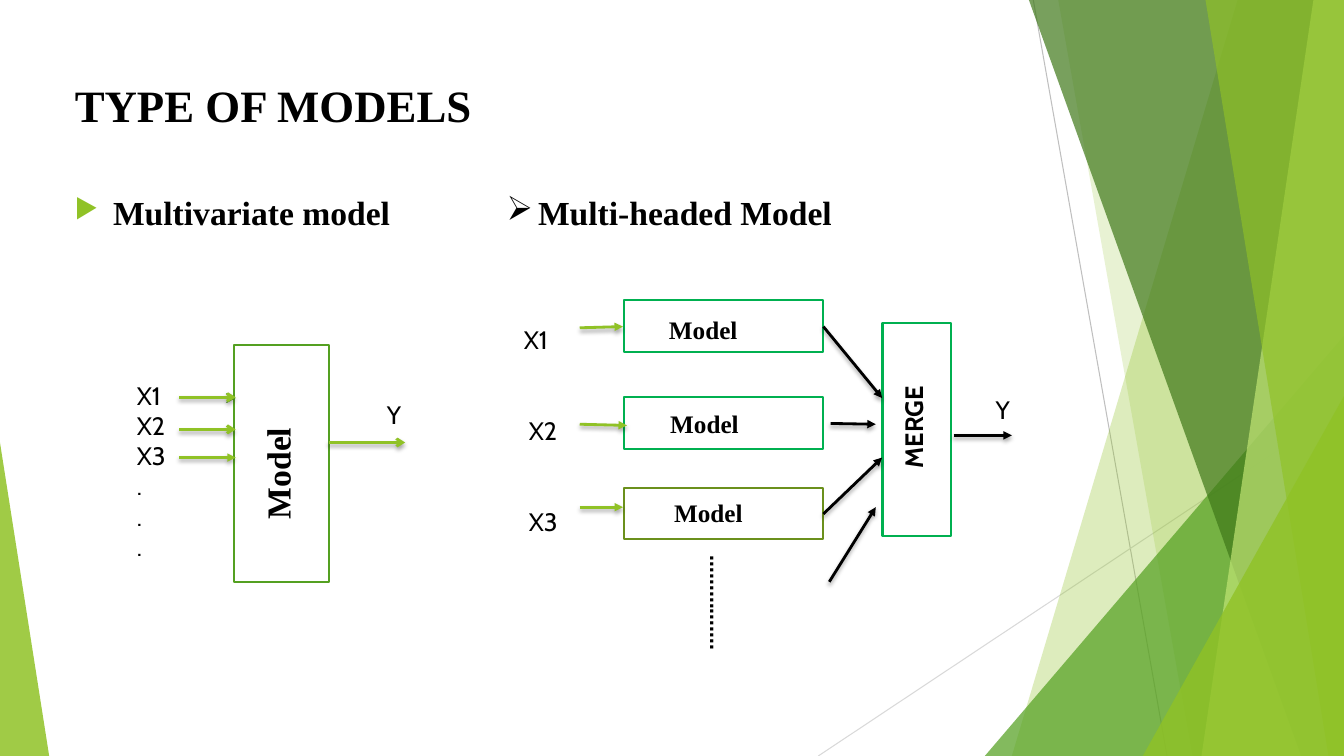
from lxml import etree
from pptx import Presentation
from pptx.dml.color import RGBColor
from pptx.enum.shapes import MSO_CONNECTOR, MSO_SHAPE
from pptx.enum.text import MSO_ANCHOR, PP_ALIGN
from pptx.oxml.ns import qn
from pptx.util import Cm, Pt

STRAIGHT = MSO_CONNECTOR.STRAIGHT
RECT, TRIANGLE = MSO_SHAPE.RECTANGLE, MSO_SHAPE.ISOSCELES_TRIANGLE
TOP, LEFT = MSO_ANCHOR.TOP, PP_ALIGN.LEFT
W, H = 33.87, 19.05
SERIF, SANS = "Times New Roman", "Cabin"
LIME, GREEN, EMERALD, OLIVE = "90C226", "54A021", "00B050", "6B901C"
BLACK, WHITE = "000000", "FFFFFF"


def rgb(hex_color):
    return RGBColor.from_string(hex_color)


def child(parent, tag, **attrs):
    el = etree.SubElement(parent, qn(tag))
    for name, value in attrs.items():
        el.set(name, str(value))
    return el


class Deck:
    """Holds the text style and the current slide; lengths are in cm."""

    def __init__(self, slide):
        self.s = slide
        self.color = BLACK

    def add_runs(self, sp, lines, size, font, bold):
        tf = sp.text_frame
        tf.word_wrap = True
        tf.vertical_anchor = TOP
        for i, line in enumerate(lines):
            p = tf.add_paragraph() if i else tf.paragraphs[0]
            p.alignment = LEFT
            r = p.add_run()
            r.text = line
            r.font.size, r.font.name, r.font.bold = Pt(size), font, bold
            r.font.color.rgb = rgb(self.color)
        return sp

    def title(self, text, x, y, w, h):
        sp = self.s.shapes.title
        sp.left, sp.top, sp.width, sp.height = Cm(x), Cm(y), Cm(w), Cm(h)
        self.add_runs(sp, [text], 32, SERIF, True)

    def text(self, lines, x, y, w, h=1.02, size=18, font=SANS, bold=False, rot=0):
        sp = self.s.shapes.add_textbox(Cm(x), Cm(y), Cm(w), Cm(h))
        sp.rotation = rot
        return self.add_runs(sp, lines, size, font, bold)

    def heading(self, text, x, y, w, bullet, indent, color, scale):
        sp = self.text([text], x, y, w, 1.27, 24, SERIF, True)
        pPr = sp.text_frame.paragraphs[0]._p.get_or_add_pPr()
        pPr.set("marL", str(Cm(indent)))
        pPr.set("indent", str(-Cm(indent)))
        child(child(pPr, "a:buClr"), "a:srgbClr", val=color)
        child(pPr, "a:buSzPct", val=scale * 1000)
        child(pPr, "a:buChar", char=bullet)

    def fill(self, sp, color, alpha=100):
        sp.shadow.inherit = False
        sp.line.fill.background()
        sp.fill.solid()
        sp.fill.fore_color.rgb = rgb(color)
        if alpha < 100:
            clr = sp._element.spPr.find(qn("a:solidFill"))[0]
            child(clr, "a:alpha", val=alpha * 1000)

    def box(self, x, y, w, h, outline):
        sp = self.s.shapes.add_shape(RECT, Cm(x), Cm(y), Cm(w), Cm(h))
        self.fill(sp, WHITE)
        sp.line.color.rgb = rgb(outline)
        sp.line.width = Pt(1.5)

    def triangle(self, x, y, w, h, apex, color, alpha):
        sp = self.s.shapes.add_shape(TRIANGLE, Cm(x), Cm(y), Cm(w), Cm(h))
        sp.adjustments[0] = apex
        self.fill(sp, color, alpha)

    def band(self, x_top, x_bottom, color, alpha):
        """Area from a slanted edge to the right side of the slide."""
        fb = self.s.shapes.build_freeform(Cm(x_top), 0)
        fb.add_line_segments([(Cm(W), 0), (Cm(W), Cm(H)), (Cm(x_bottom), Cm(H))])
        self.fill(fb.convert_to_shape(), color, alpha)

    def line(self, x1, y1, x2, y2, color, width=0.75, head=None, shadow=False):
        sp = self.s.shapes.add_connector(STRAIGHT, Cm(x1), Cm(y1), Cm(x2), Cm(y2))
        sp.line.color.rgb = rgb(color)
        sp.line.width = Pt(width)
        spPr = sp._element.spPr
        if head:
            child(spPr.find(qn("a:ln")), "a:tailEnd", type=head)
        effects = child(spPr, "a:effectLst")
        if shadow:
            shade = child(effects, "a:outerShdw", blurRad=Pt(3), dist=Pt(2),
                          dir=5400000, rotWithShape=0)
            child(child(shade, "a:srgbClr", val=BLACK), "a:alpha", val=35000)

    def arrow(self, x1, y1, x2, y2, color, head="triangle"):
        self.line(x1, y1, x2, y2, color, 2, head, True)


prs = Presentation()
prs.slide_width, prs.slide_height = Cm(W), Cm(H)
d = Deck(prs.slides.add_slide(prs.slide_layouts[5]))

# Background decoration
d.line(26.04, 0, 29.41, H, "BFBFBF")
d.line(W, 10.24, 20.62, H, "D9D9D9")
d.band(31.19, 25.5, LIME, 30)
d.band(26.67, 30.05, LIME, 20)
d.triangle(24.82, 8.46, W - 24.82, H - 8.46, 1, GREEN, 72)
d.band(25.93, 32.79, "3F7819", 70)
d.band(33.1, 30.28, "C0E474", 70)
d.band(30.38, 33.48, LIME, 65)
d.triangle(28.8, 9.98, W - 28.8, H - 9.98, 1, LIME, 80)
d.triangle(0, 11.15, 1.24, H - 11.15, 0, LIME, 85)

# Title and headings
d.title("TYPE OF MODELS", 1.63, 1.83, 23.88, 4.24)
d.heading("Multivariate model", 1.63, 4.72, 8.94, "▶", 0.97, LIME, 80)
d.heading("Multi-headed Model", 12.52, 4.72, 13.23, "➢", 0.79, BLACK, 100)

# Multivariate model
d.box(5.89, 8.69, 2.41, 5.97, GREEN)
d.text(["Model"], 5.31, 11.02, 3.35, 1.27, 24, SERIF, True, 270)
d.text(["X1", "X2", "X3", ".", ".", "."], 3.2, 9.45, 2.03, 5.64)
d.line(4.52, 10.03, 5.94, 10.03, GREEN, head="arrow")
for y, head in ((10.01, "arrow"), (10.82, "arrow"), (11.53, "triangle")):
    d.arrow(4.52, y, 5.94, y, LIME, head)
d.arrow(8.28, 11.15, 10.21, 11.15, LIME, "arrow")
d.text(["Y"], 9.5, 9.93, 1.27)

# Heads: input label, arrow and model box
heads = [  # label x, box top, outline, model text x and y, arrow start and end y, arrow end x
    (12.95, 7.57, EMERALD, 16.61, 7.8, 8.26, 8.23, 15.7),
    (13.08, 10.01, EMERALD, 16.64, 10.16, 10.69, 10.72, 15.8),
    (13.08, 12.29, OLIVE, 16.74, 12.4, 12.78, 12.78, 15.7),
]
for i, (x, top, outline, tx, ty, y1, y2, x2) in enumerate(heads):
    d.text([f"X{i + 1}"], x, 8.05 + 2.29 * i, 1.5)
    d.box(15.72, top, 5.03, 1.3, outline)
    d.text(["Model"], tx, ty, 2.54, font=SERIF, bold=True)
    d.arrow(14.61, y1, x2, y2, LIME)
d.text(["…" * 5 + "."], 15.72, 15.67, 4.85, bold=True, rot=90)

# Merge block and output
d.box(22.24, 8.14, 1.73, 5.36, EMERALD)
d.text(["MERGE"], 20.78, 9.3, 4.47, bold=True, rot=270)
for ends in ((20.75, 8.23, 22.23, 10.03), (20.75, 12.95, 22.23, 11.53),
             (20.93, 10.67, 22.07, 10.69), (20.9, 14.66, 22.07, 12.78),
             (24.03, 10.97, 25.5, 10.97)):
    d.arrow(*ends, BLACK)
d.text(["Y"], 24.84, 9.8, 0.86)

prs.save("out.pptx")
